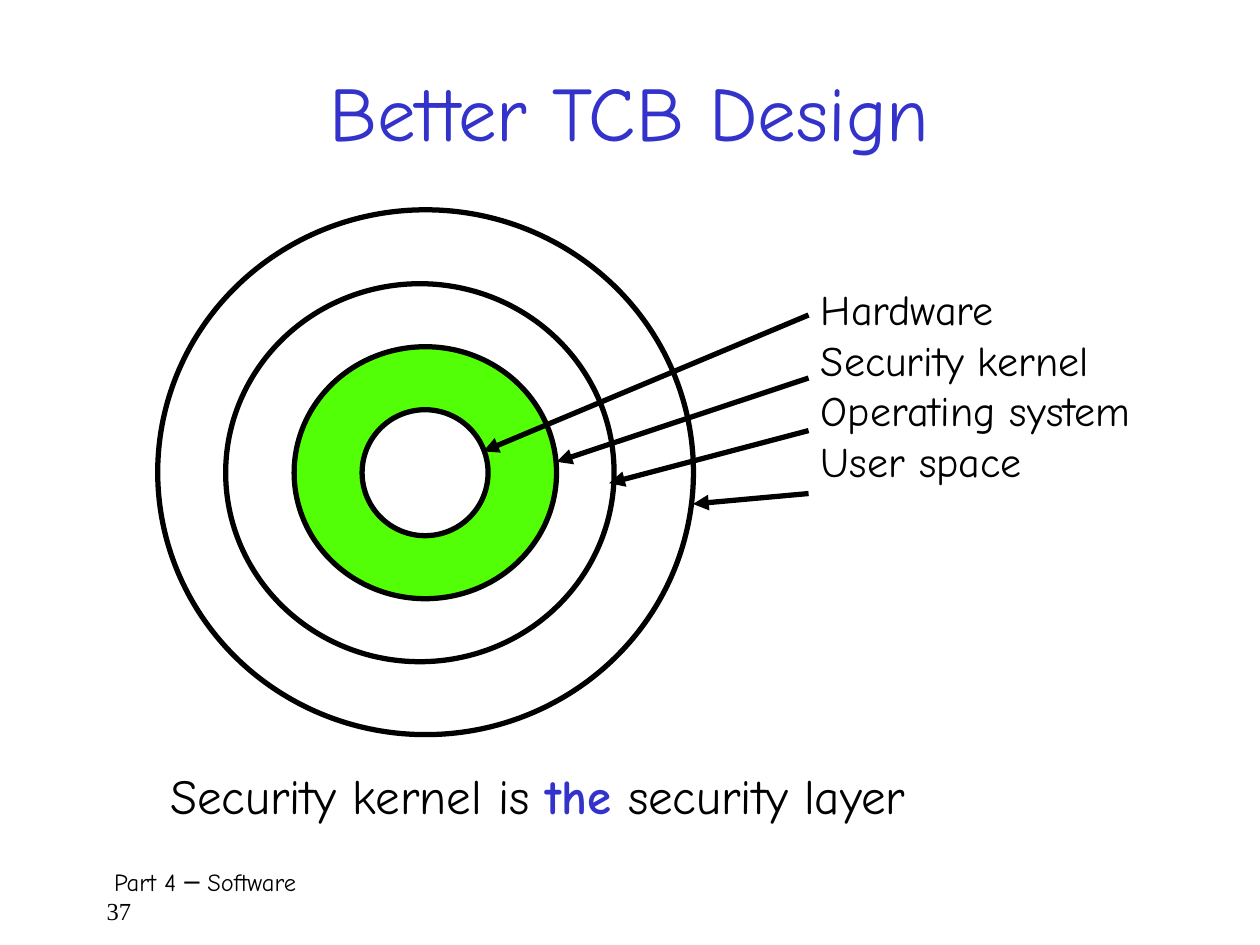
"""Build the slide on a better TCB design, with its rings of privilege."""
import pptx
import pptx.dml.color
import pptx.enum.shapes
import pptx.enum.text
import pptx.oxml.ns
import pptx.util
from lxml import etree
from pptx.util import Cm, Pt

BLACK = pptx.dml.color.RGBColor(0x00, 0x00, 0x00)
WHITE = pptx.dml.color.RGBColor(0xFF, 0xFF, 0xFF)
BLUE = pptx.dml.color.RGBColor(0x33, 0x33, 0xCC)
GREEN = pptx.dml.color.RGBColor(0x53, 0xFF, 0x07)
HAND = "Comic Neue"
SERIF = "Times New Roman"
LABEL_LEFT = 16.3

# Left, top, width, height in cm and fill, from the outermost ring inwards
RINGS = [
    (3.18, 4.23, 10.8, 10.58, None),
    (4.55, 5.72, 7.83, 7.62, None),
    (5.93, 6.99, 5.29, 5.08, GREEN),
    (7.3, 8.26, 2.54, 2.54, WHITE),
]
# Layer, height of its arrow's start, and arrow tip, in cm
LAYERS = [
    ("Hardware", 6.35, (9.74, 9.1)),
    ("Security kernel", 7.62, (11.22, 9.31)),
    ("Operating system", 8.68, (12.28, 9.74)),
    ("User space", 9.95, (13.97, 10.16)),
]


def style(font, size, color=BLACK, name=HAND):
    """Set size, colour and typeface of a font."""
    font.size, font.name = Pt(size), name
    font.color.rgb = color


def add_title(slide, text):
    """Fill and place the title placeholder."""
    title = slide.shapes.title
    title.left, title.top, title.width, title.height = Cm(1.9), Cm(0.85), Cm(21.6), Cm(2.75)
    frame = title.text_frame
    frame.text = text
    frame.auto_size = pptx.enum.text.MSO_AUTO_SIZE.NONE
    frame.vertical_anchor = pptx.enum.text.MSO_ANCHOR.MIDDLE
    frame.paragraphs[0].alignment = pptx.enum.text.PP_ALIGN.CENTER
    style(frame.paragraphs[0].font, 44, BLUE)


def add_text(slide, left, top, width, height, lines, size):
    """Add a text box with one paragraph per line and return its paragraphs."""
    frame = slide.shapes.add_textbox(Cm(left), Cm(top), Cm(width), Cm(height)).text_frame
    frame.word_wrap = True
    frame.text = "\n".join(lines)
    for paragraph in frame.paragraphs:
        style(paragraph.font, size)
    return frame.paragraphs


def add_ring(slide, left, top, width, height, fill):
    """Add an outlined ellipse, filled if a colour is given."""
    ring = slide.shapes.add_shape(
        pptx.enum.shapes.MSO_SHAPE.OVAL, Cm(left), Cm(top), Cm(width), Cm(height))
    ring.shadow.inherit = False
    ring.line.color.rgb, ring.line.width = BLACK, Pt(3)
    if fill is None:
        ring.fill.background()
    else:
        ring.fill.solid()
        ring.fill.fore_color.rgb = fill


def add_arrow(slide, start, tip):
    """Add a straight arrow from start to tip."""
    arrow = slide.shapes.add_connector(
        pptx.enum.shapes.MSO_CONNECTOR.STRAIGHT, *map(Cm, start + tip))
    arrow.line.color.rgb, arrow.line.width = BLACK, Pt(3)
    qn = pptx.oxml.ns.qn
    etree.SubElement(arrow.line._get_or_add_ln(), qn("a:tailEnd"), type="triangle")
    etree.SubElement(arrow._element.spPr, qn("a:effectLst"))


def add_statement(slide):
    """Add the closing statement with its stressed word."""
    statement, = add_text(slide, 3.18, 15.3, 17.27, 1.62, [""], 28)
    for text in ("Security kernel is ", "the", " security layer"):
        statement.add_run().text = text
    stressed = statement.runs[1].font
    stressed.bold, stressed.color.rgb = True, BLUE


def add_footer(slide):
    """Add the chapter name with the page number below it."""
    chapter, page = add_text(
        slide, 1.9, 17.35, 21.8, 1.27, ["Part 4 ─ Software", "37"], 14)
    chapter._p.get_or_add_pPr().set("indent", str(Cm(0.15)))
    style(page.font, 14, name=SERIF)


def main():
    """Build and save the slide."""
    deck = pptx.Presentation()
    deck.slide_width, deck.slide_height = Cm(25.4), Cm(19.05)
    slide = deck.slides.add_slide(deck.slide_layouts[5])
    add_title(slide, "Better TCB Design")
    for ring in RINGS:
        add_ring(slide, *ring)
    add_text(slide, LABEL_LEFT, 5.6, 7.52, 4.98, [layer for layer, _, _ in LAYERS], 24)
    for _, height, tip in LAYERS:
        add_arrow(slide, (LABEL_LEFT, height), tip)
    add_statement(slide)
    add_footer(slide)
    deck.save("out.pptx")


if __name__ == "__main__":
    main()
